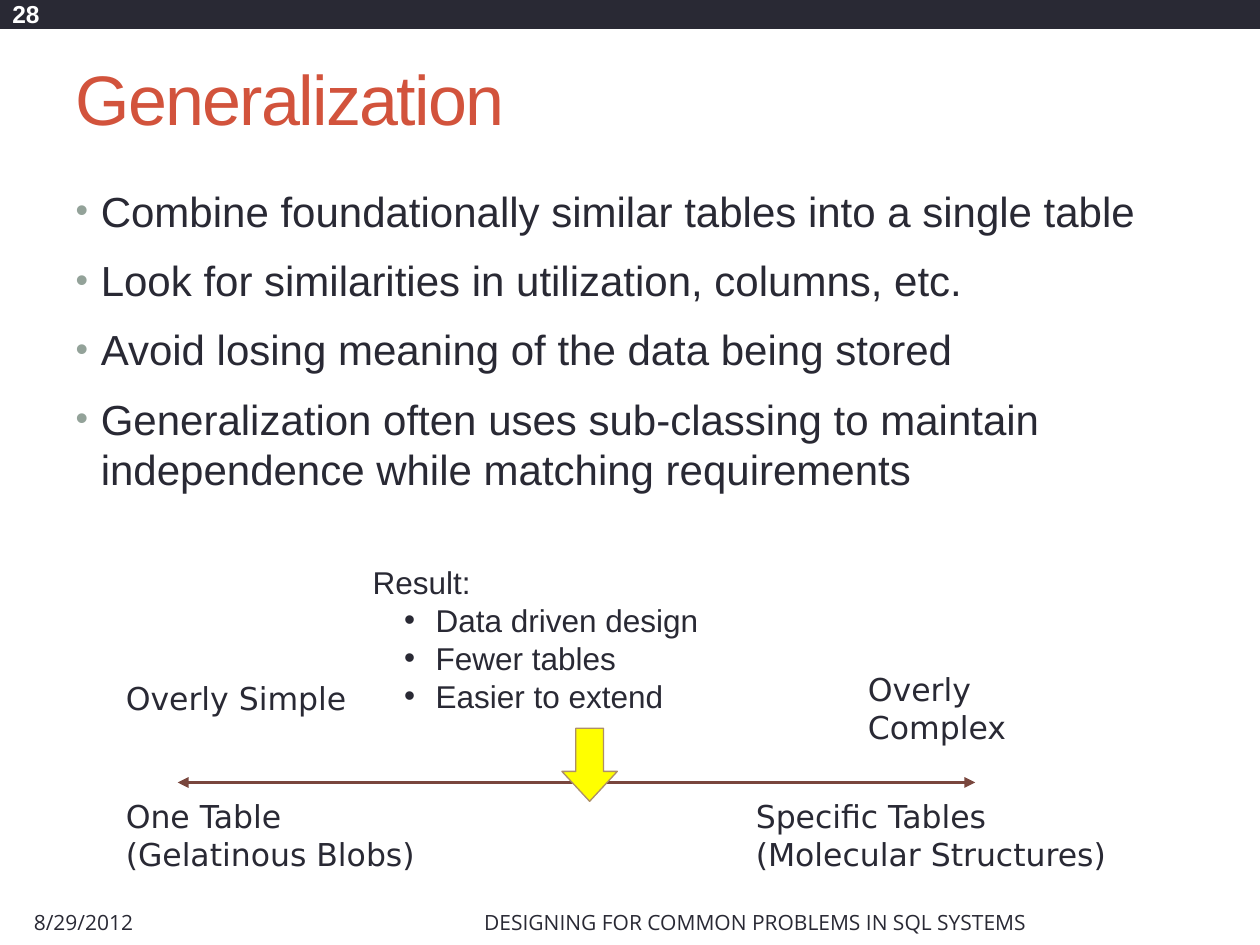
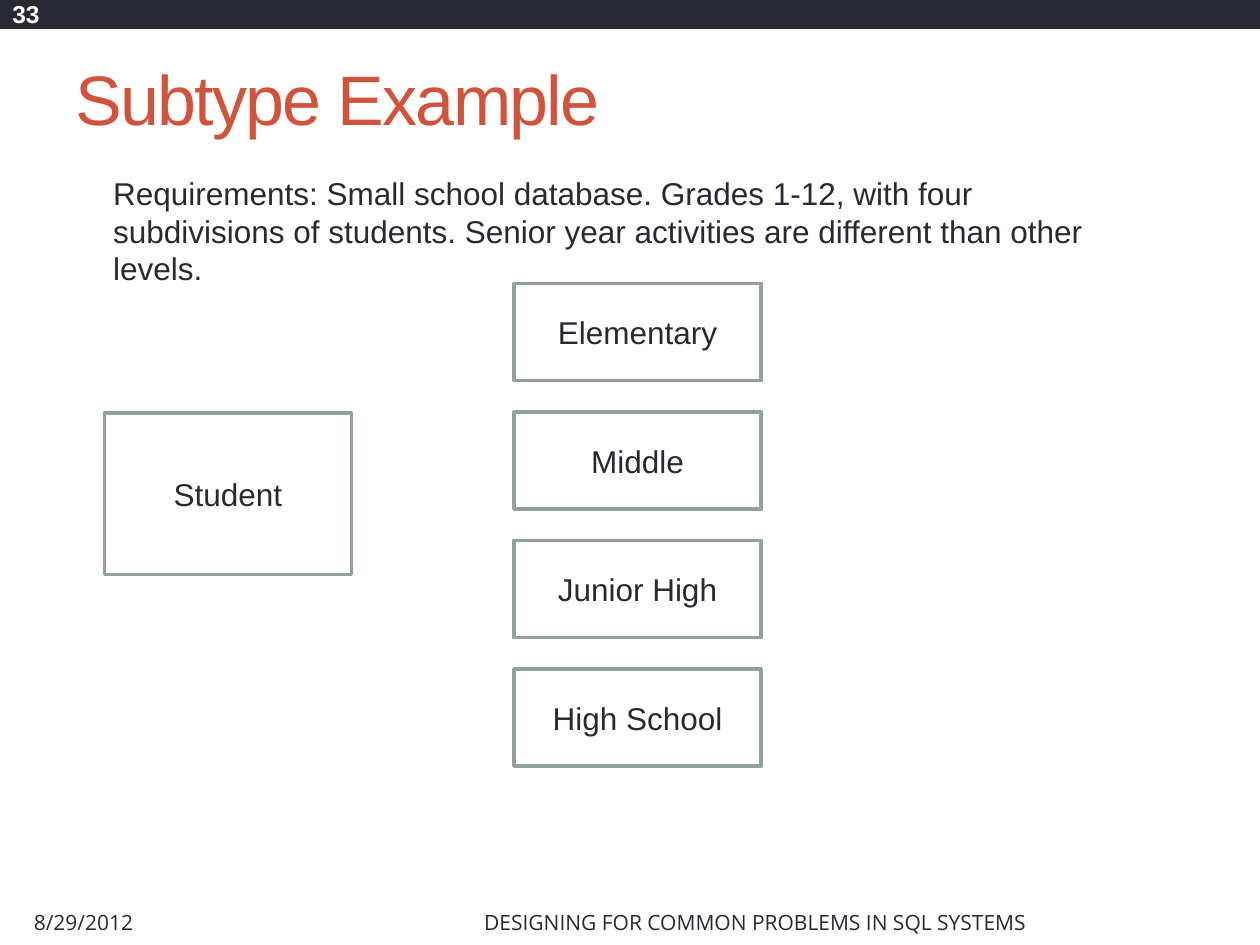
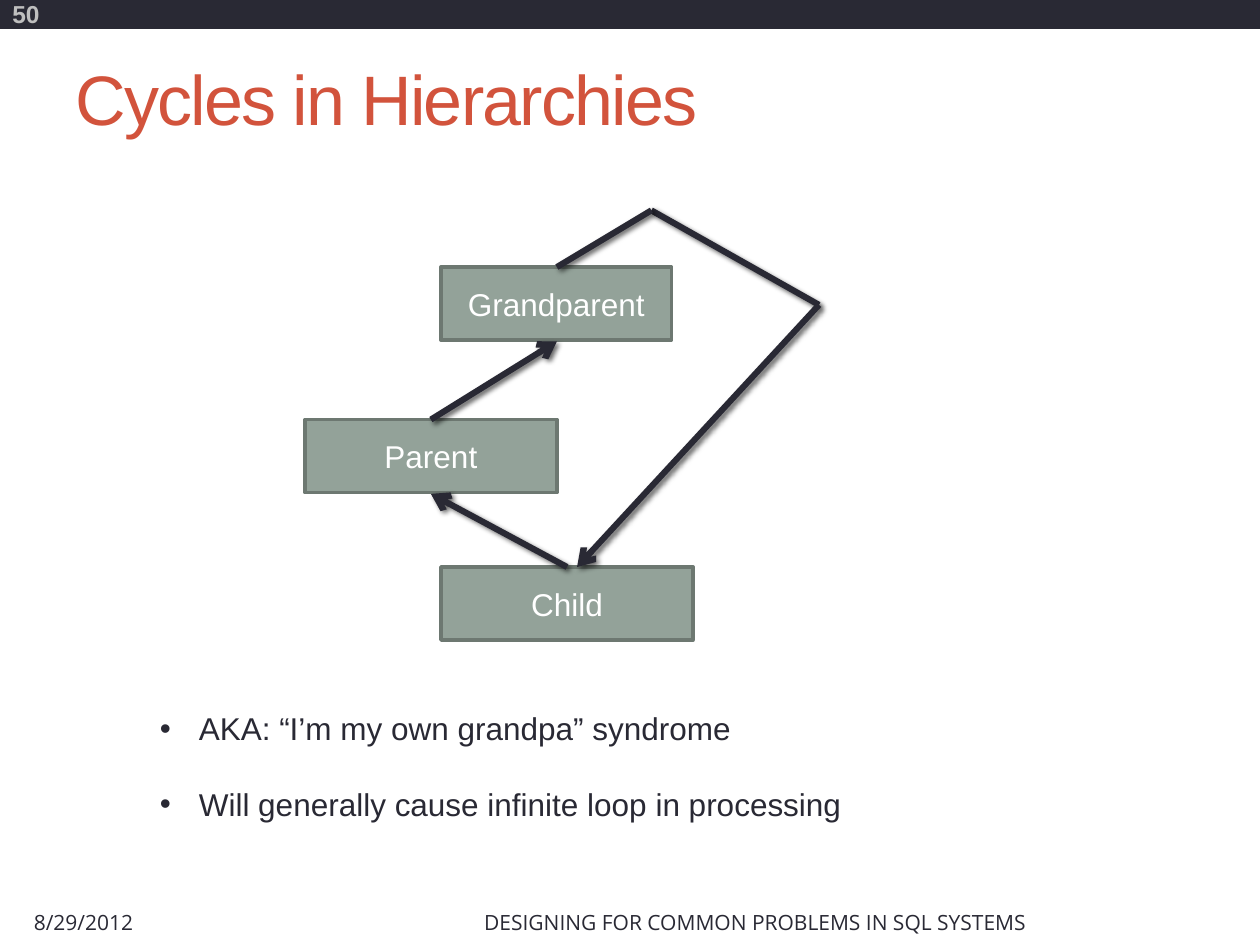
from dataclasses import dataclass

from lxml import etree
from pptx import Presentation
from pptx.dml.color import RGBColor
from pptx.enum.shapes import MSO_CONNECTOR, MSO_SHAPE
from pptx.enum.text import MSO_ANCHOR, MSO_AUTO_SIZE, PP_ALIGN
from pptx.oxml.ns import qn
from pptx.util import Inches, Pt

LEFT, CENTER = PP_ALIGN.LEFT, PP_ALIGN.CENTER
TOP, MIDDLE = MSO_ANCHOR.TOP, MSO_ANCHOR.MIDDLE
NO_AUTOFIT = MSO_AUTO_SIZE.NONE
RECTANGLE, DOWN_ARROW = MSO_SHAPE.RECTANGLE, MSO_SHAPE.DOWN_ARROW
STRAIGHT = MSO_CONNECTOR.STRAIGHT

TITLE_AND_BODY, TITLE_ONLY = 1, 5
INK, WHITE, SAGE, DARK_SAGE = "292934", "FFFFFF", "93A299", "6D7871"
RUST, BROWN, YELLOW, TAN, PALE_GRAY = "D2533C", "79463D", "FFFF00", "AD8F67", "BFBFBF"
DATE = "8/29/2012"
FOOTER = "DESIGNING FOR COMMON PROBLEMS IN SQL SYSTEMS"


@dataclass(frozen=True)
class Frame:
    left: float
    top: float
    width: float
    height: float

    def lengths(self) -> list:
        return [Inches(side) for side in (self.left, self.top, self.width, self.height)]


@dataclass(frozen=True)
class TextStyle:
    size: float = 18
    font: str = "Arial"
    color: str = INK
    bold: bool = False
    align: PP_ALIGN = LEFT
    anchor: MSO_ANCHOR = TOP


@dataclass(frozen=True)
class Bullet:
    margin: float
    hanging: float
    color: str = INK
    percent: int = 100


@dataclass(frozen=True)
class BoxStyle:
    fill: str
    line: str
    text: TextStyle
    wrap: bool


@dataclass(frozen=True)
class Label:
    text: str
    frame: Frame


@dataclass(frozen=True)
class Link:
    start: tuple[float, float]
    end: tuple[float, float]
    tail: str = ""


PLAIN = TextStyle()
TITLE = TextStyle(40, color=RUST, anchor=MIDDLE)
BODY = TextStyle(24)
SCALE_LABEL = TextStyle(font="DejaVu Sans")
DATE_STYLE = TextStyle(12, "Open Sans", anchor=MIDDLE)
FOOTER_STYLE = TextStyle(12, "Open Sans", align=CENTER, anchor=MIDDLE)
ENTITY = BoxStyle(WHITE, SAGE, TextStyle(align=CENTER, anchor=MIDDLE), wrap=False)
RELATIVE = BoxStyle(SAGE, DARK_SAGE, TextStyle(color=WHITE, align=CENTER, anchor=MIDDLE), wrap=True)


def rgb(color: str) -> RGBColor:
    return RGBColor.from_string(color)


def add_xml(parent, tag: str, **attributes):
    child = etree.SubElement(parent, qn(tag))
    for name, value in attributes.items():
        child.set(name, str(value))
    return child


def place(shape, frame: Frame) -> None:
    shape.left, shape.top, shape.width, shape.height = frame.lengths()


def format_paragraph(paragraph, style: TextStyle) -> None:
    paragraph.alignment = style.align
    font = paragraph.font
    font.size, font.name, font.bold = Pt(style.size), style.font, style.bold
    font.color.rgb = rgb(style.color)


def add_bullet(paragraph, bullet: Bullet) -> None:
    properties = paragraph._p.get_or_add_pPr()
    properties.set("marL", str(Inches(bullet.margin)))
    properties.set("indent", str(-Inches(bullet.hanging)))
    color = add_xml(properties, "a:buClr")
    add_xml(color, "a:srgbClr", val=bullet.color)
    add_xml(properties, "a:buSzPct", val=bullet.percent * 1000)
    add_xml(properties, "a:buFont", typeface="Arial")
    add_xml(properties, "a:buChar", char="•")


def write(shape, lines: list[str], style: TextStyle, bullet: Bullet | None = None,
          before: float = 0, after: float = 0, first_bullet: int = 0) -> None:
    """Fill a shape with one paragraph a line; bullets start at first_bullet."""
    frame = shape.text_frame
    frame.auto_size = NO_AUTOFIT
    frame.word_wrap = True
    frame.vertical_anchor = style.anchor
    for index, line in enumerate(lines):
        paragraph = frame.add_paragraph() if index else frame.paragraphs[0]
        paragraph.text = line
        paragraph.space_before = Pt(before if index else 0)
        paragraph.space_after = Pt(after)
        if bullet and index >= first_bullet:
            add_bullet(paragraph, bullet)
        format_paragraph(paragraph, style)


def add_text(slide, frame: Frame, lines: list[str], style: TextStyle = PLAIN, **options) -> None:
    write(slide.shapes.add_textbox(*frame.lengths()), lines, style, **options)


def add_filled_shape(slide, kind: MSO_SHAPE, frame: Frame, fill: str):
    shape = slide.shapes.add_shape(kind, *frame.lengths())
    shape.shadow.inherit = False
    shape.fill.solid()
    shape.fill.fore_color.rgb = rgb(fill)
    return shape


def outline(shape, color: str, width: float) -> None:
    shape.line.color.rgb = rgb(color)
    shape.line.width = Pt(width)


def add_box(slide, label: Label, style: BoxStyle) -> None:
    box = add_filled_shape(slide, RECTANGLE, label.frame, style.fill)
    outline(box, style.line, 2.08)
    write(box, [label.text], style.text)
    box.text_frame.word_wrap = style.wrap


def add_line(slide, link: Link, color: str, width: float, head: str = "", shadow: bool = False) -> None:
    points = [Inches(value) for value in (*link.start, *link.end)]
    connector = slide.shapes.add_connector(STRAIGHT, *points)
    outline(connector, color, width)
    properties = connector.element.spPr
    line = properties.find(qn("a:ln"))
    for tag, arrowhead in (("a:headEnd", head), ("a:tailEnd", link.tail)):
        if arrowhead:
            add_xml(line, tag, type=arrowhead)
    effects = add_xml(properties, "a:effectLst")
    if shadow:
        outer = add_xml(effects, "a:outerShdw", blurRad=Pt(3), dist=Pt(2), dir=45 * 60000)
        add_xml(add_xml(outer, "a:srgbClr", val="000000"), "a:alpha", val=60000)


def add_master_band(presentation, slide) -> None:
    """Draw the top band and move it behind everything on the master."""
    band = add_filled_shape(slide, RECTANGLE, Frame(0, -0.01, 10, 0.24), INK)
    band.line.fill.background()
    band.element.nvSpPr.cNvPr.set("id", "20")
    presentation.slide_master.shapes.element.insert(2, band.element)


def start_slide(presentation, layout: int, title: str, number: str, number_color: str = WHITE):
    slide = presentation.slides.add_slide(presentation.slide_layouts[layout])
    heading = slide.shapes.title
    place(heading, Frame(0.5, 0.3, 8.92, 0.95))
    write(heading, [title], TITLE)
    for font in heading.element.iter(qn("a:defRPr")):
        font.set("spc", "-100")
    add_text(slide, Frame(0.17, 7.14, 3.17, 0.36), [DATE], DATE_STYLE)
    number_style = TextStyle(14, color=number_color, bold=True, anchor=MIDDLE)
    add_text(slide, Frame(0, -0.02, 1.17, 0.25), [number], number_style)
    add_text(slide, Frame(3.33, 7.14, 5.33, 0.36), [FOOTER], FOOTER_STYLE)
    return slide


def build_generalization(presentation) -> None:
    slide = start_slide(presentation, TITLE_AND_BODY, "Generalization", "28")
    add_master_band(presentation, slide)
    body = slide.placeholders[1]
    place(body, Frame(0.5, 1.42, 9, 2.92))
    write(body, [
        "Combine foundationally similar tables into a single table",
        "Look for similarities in utilization, columns, etc.",
        "Avoid losing meaning of the data being stored",
        "Generalization often uses sub-classing to maintain independence while matching requirements",
    ], BODY, Bullet(0.2, 0.2, SAGE, 85), before=4.8, after=6)

    add_line(slide, Link((1.41, 6.21), (7.74, 6.21), "triangle"), BROWN, 2.08, head="triangle")
    scale_labels = [
        Label("Overly\vComplex", Frame(6.79, 5.27, 2.18, 0.71)),
        Label("Overly Simple", Frame(0.9, 5.34, 2.18, 0.4)),
        Label("Specific Tables\v(Molecular Structures)", Frame(5.9, 6.28, 3.08, 0.71)),
        Label("One Table\v(Gelatinous Blobs)", Frame(0.9, 6.28, 2.83, 0.71)),
    ]
    for label in scale_labels:
        add_text(slide, label.frame, [label.text], SCALE_LABEL)
    marker = add_filled_shape(slide, DOWN_ARROW, Frame(4.46, 5.78, 0.44, 0.58), YELLOW)
    marker.adjustments[0], marker.adjustments[1] = 0.5, 0.54
    outline(marker, TAN, 0.75)
    results = ["Result:", "Data driven design", "Fewer tables", "Easier to extend"]
    add_text(slide, Frame(2.86, 4.42, 3.26, 1.62), results, bullet=Bullet(0.5, 0.25), first_bullet=1)


def build_subtype_example(presentation) -> None:
    slide = start_slide(presentation, TITLE_ONLY, "Subtype Example", "33")
    add_text(slide, Frame(0.8, 1.33, 7.92, 1.01), [
        "Requirements: Small school database. Grades 1-12, with four subdivisions of students. "
        "Senior year activities are different than other levels."
    ])
    for row, subtype in enumerate(["Elementary", "Middle", "Junior High", "High School"]):
        add_box(slide, Label(subtype, Frame(4.08, 2.25 + 1.02 * row, 1.96, 0.77)), ENTITY)
    add_box(slide, Label("Student", Frame(0.83, 3.28, 1.96, 1.28)), ENTITY)


def build_cycles(presentation) -> None:
    slide = start_slide(presentation, TITLE_ONLY, "Cycles in Hierarchies", "50", PALE_GRAY)
    relatives = [
        Label("Grandparent", Frame(3.5, 2.12, 1.83, 0.58)),
        Label("Parent", Frame(2.42, 3.33, 2, 0.58)),
        Label("Child", Frame(3.5, 4.5, 2, 0.58)),
    ]
    for relative in relatives:
        add_box(slide, relative, RELATIVE)
    peak, corner = (5.17, 1.67), (6.5, 2.42)
    links = [
        Link((3.42, 3.33), (4.42, 2.71), "arrow"),
        Link((4.5, 4.5), (3.42, 3.92), "arrow"),
        Link(corner, peak),
        Link(corner, (4.58, 4.5), "arrow"),
        Link((4.42, 2.12), peak),
    ]
    for link in links:
        add_line(slide, link, INK, 3.5, shadow=True)
    add_text(slide, Frame(1.17, 5.58, 6.5, 1.01), [
        "AKA: “I’m my own grandpa” syndrome",
        "Will generally cause infinite loop in processing",
    ], bullet=Bullet(0.31, 0.31), before=21.6)


def main() -> None:
    presentation = Presentation()
    presentation.slide_width, presentation.slide_height = Inches(10), Inches(7.5)
    build_generalization(presentation)
    build_subtype_example(presentation)
    build_cycles(presentation)
    presentation.save("out.pptx")


if __name__ == "__main__":
    main()
